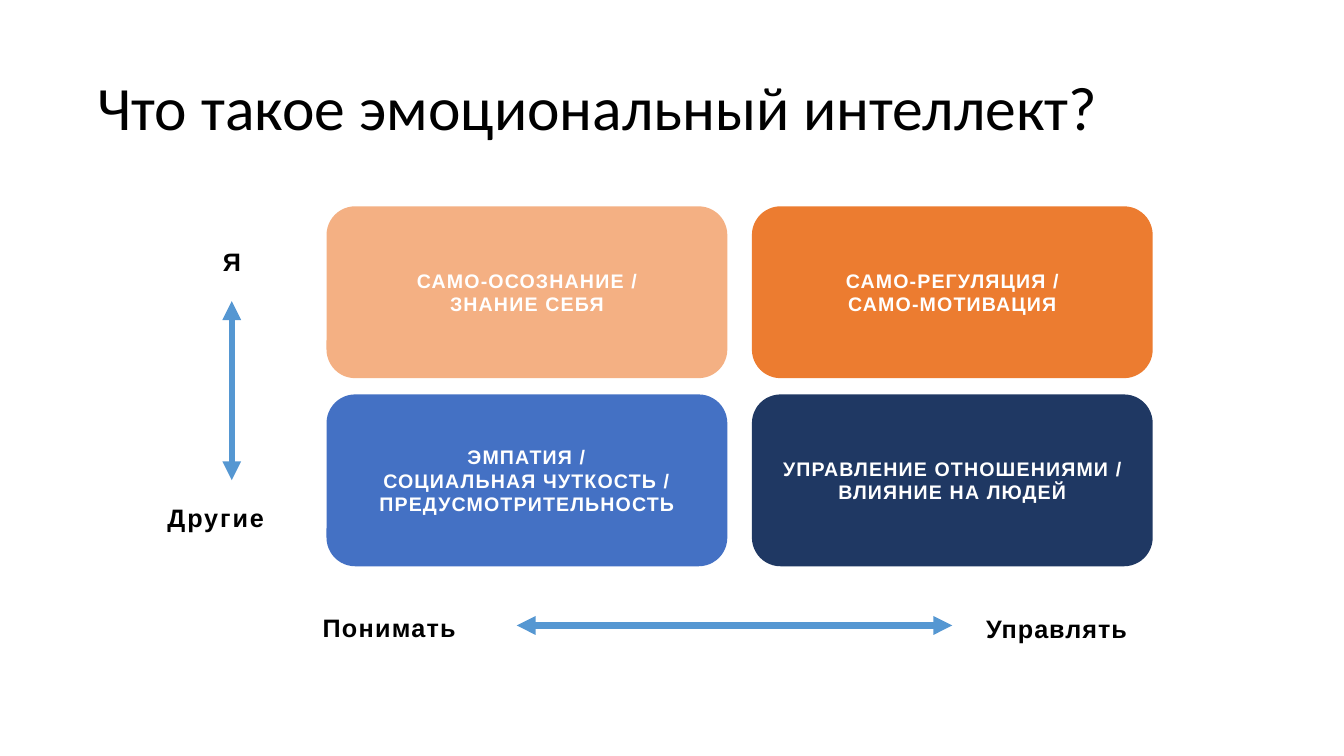
from dataclasses import dataclass

from lxml import etree
from pptx import Presentation
from pptx.dml.color import RGBColor
from pptx.enum import shapes, text
from pptx.oxml import ns
from pptx.util import Cm, Pt

BLACK = RGBColor(0x00, 0x00, 0x00)
WHITE = RGBColor(0xFF, 0xFF, 0xFF)
PEACH = RGBColor(0xF4, 0xB0, 0x83)
ORANGE = RGBColor(0xEC, 0x7C, 0x30)
BLUE = RGBColor(0x44, 0x71, 0xC4)
NAVY = RGBColor(0x1F, 0x38, 0x63)
SKY = RGBColor(0x55, 0x97, 0xD2)

# Card grid, in centimetres
LEFT, TOP = 8.23, 5.2
WIDE, HIGH = 10.1, 4.33
STEP_X, STEP_Y = 10.72, 4.74


@dataclass
class Card:
    row: int
    col: int
    fill: RGBColor
    words: str


@dataclass
class Label:
    left: float
    top: float
    width: float
    words: str
    gap: float


@dataclass
class Arrow:
    x1: float
    y1: float
    x2: float
    y2: float


CARDS = [
    Card(0, 0, PEACH, "САМО-ОСОЗНАНИЕ /\nЗНАНИЕ СЕБЯ"),
    Card(0, 1, ORANGE, "САМО-РЕГУЛЯЦИЯ /\nСАМО-МОТИВАЦИЯ"),
    Card(1, 0, BLUE, "ЭМПАТИЯ /\vСОЦИАЛЬНАЯ ЧУТКОСТЬ /\vПРЕДУСМОТРИТЕЛЬНОСТЬ"),
    Card(1, 1, NAVY, "УПРАВЛЕНИЕ ОТНОШЕНИЯМИ /\nВЛИЯНИЕ НА ЛЮДЕЙ"),
]
LABELS = [
    Label(5.62, 6.2, 0.7, "Я", 0.2),
    Label(4.22, 12.65, 2.8, "Другие", 1.4),
    Label(8.13, 15.42, 3.8, "Понимать", 0.9),
    Label(24.85, 15.45, 4.0, "Управлять", 0.7),
]
ARROWS = [Arrow(5.84, 7.59, 5.84, 12.1), Arrow(13.02, 15.76, 24, 15.76)]


def write(frame, words: str, size: float, color: RGBColor, align, gap: float) -> None:
    """Fill a frame with bold text whose letters are set gap points apart."""
    frame.margin_left = frame.margin_right = 0
    frame.margin_top = frame.margin_bottom = 0
    frame.word_wrap = True
    frame.text = words
    for par in frame.paragraphs:
        par.alignment = align
        par.font.name, par.font.size = "Arial", Pt(size)
        par.font.bold, par.font.color.rgb = True, color
        for run in par.runs:
            run._r.get_or_add_rPr().set("spc", str(round(gap * 100)))


def add_title(slide, words: str) -> None:
    title = slide.shapes.title
    title.left, title.top = Cm(2.46), Cm(1.72)
    title.width, title.height = Cm(27.2), Cm(1.9)
    frame = title.text_frame
    frame.text = words
    frame.margin_left = frame.margin_right = 0
    frame.margin_top = frame.margin_bottom = 0
    frame.auto_size = text.MSO_AUTO_SIZE.NONE
    frame.vertical_anchor = text.MSO_ANCHOR.MIDDLE
    par = frame.paragraphs[0]
    par.alignment = text.PP_ALIGN.LEFT
    par.font.name, par.font.size = "Calibri", Pt(44)
    par.font.color.rgb = BLACK


def add_card(slide, card: Card) -> None:
    box = slide.shapes.add_shape(
        shapes.MSO_SHAPE.ROUNDED_RECTANGLE,
        Cm(LEFT + card.col * STEP_X), Cm(TOP + card.row * STEP_Y),
        Cm(WIDE), Cm(HIGH))
    box.shadow.inherit = False
    box.fill.solid()
    box.fill.fore_color.rgb = card.fill
    box.line.fill.background()
    box.text_frame.vertical_anchor = text.MSO_ANCHOR.MIDDLE
    write(box.text_frame, card.words, 14, WHITE, text.PP_ALIGN.CENTER, 0.8)


def add_label(slide, label: Label) -> None:
    box = slide.shapes.add_textbox(
        Cm(label.left), Cm(label.top), Cm(label.width), Cm(0.84))
    write(box.text_frame, label.words, 18, BLACK, text.PP_ALIGN.LEFT, label.gap)


def add_arrow(slide, arrow: Arrow) -> None:
    """Draw a line with a head at each end."""
    link = slide.shapes.add_connector(
        shapes.MSO_CONNECTOR.STRAIGHT,
        Cm(arrow.x1), Cm(arrow.y1), Cm(arrow.x2), Cm(arrow.y2))
    link.line.color.rgb = SKY
    link.line.width = Pt(4.5)
    stroke = link.line._get_or_add_ln()
    for end in ("a:headEnd", "a:tailEnd"):
        etree.SubElement(stroke, ns.qn(end), type="triangle", w="med", len="med")
    etree.SubElement(link._element.spPr, ns.qn("a:effectLst"))


def main() -> None:
    deck = Presentation()
    deck.slide_width, deck.slide_height = Cm(33.87), Cm(19.05)
    slide = deck.slides.add_slide(deck.slide_layouts.get_by_name("Title Only"))
    add_title(slide, "Что такое эмоциональный интеллект?")
    for card in CARDS:
        add_card(slide, card)
    for arrow in ARROWS:
        add_arrow(slide, arrow)
    for label in LABELS:
        add_label(slide, label)
    deck.save("out.pptx")


if __name__ == "__main__":
    main()
